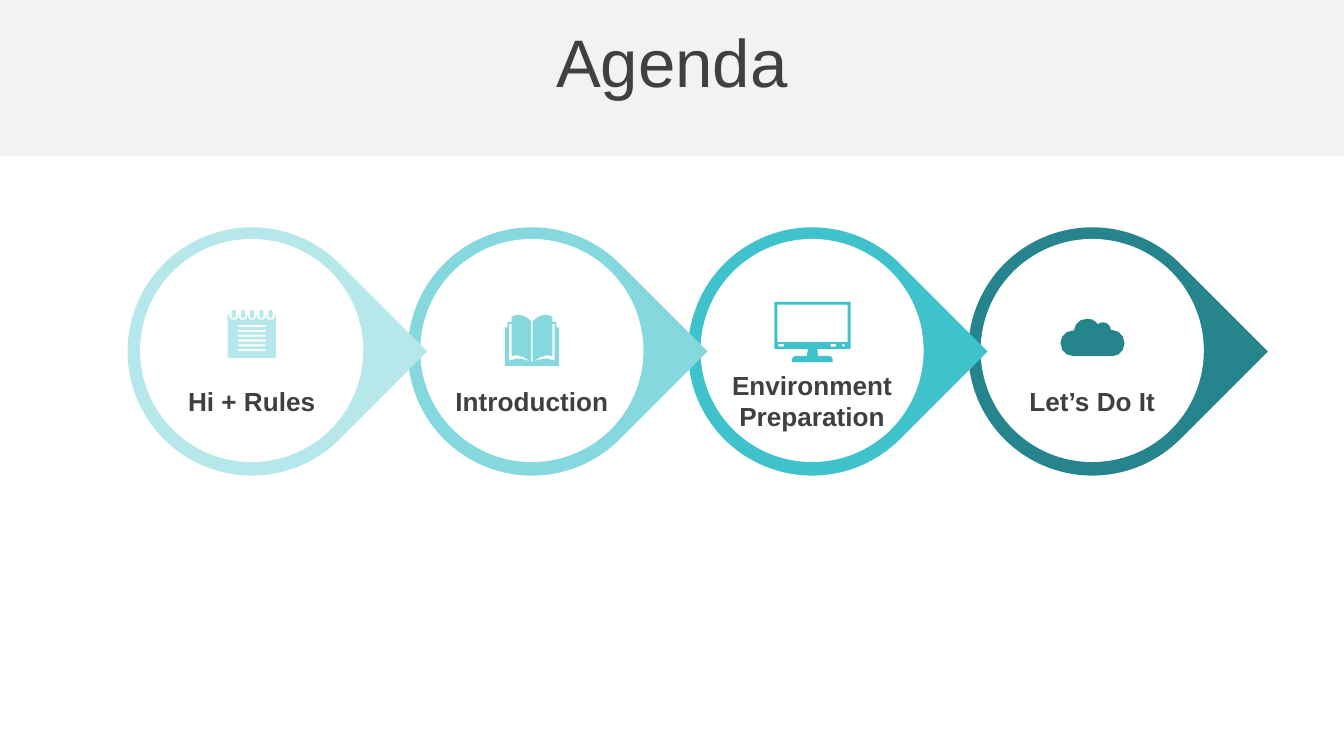
from dataclasses import dataclass
from math import cos, pi, sin

from pptx import Presentation
from pptx import util as u
from pptx.dml.color import RGBColor
from pptx.enum import shapes, text

Point = tuple[float, float]
Contour = list[Point]

COLORS = {
    "band": "F2F2F2",
    "ink": "404040",
    "white": "FFFFFF",
    "pale": "B6E8EB",
    "light": "85D8DE",
    "medium": "3FC2CB",
    "dark": "26858C",
}
TITLE_FORMAT = {"name": "Arial", "size": u.Pt(36), "bold": False}
LABEL_FORMAT = {"name": "Arial", "size": u.Pt(14), "bold": True}
FRAME_FORMAT = {
    "word_wrap": True,
    "auto_size": text.MSO_AUTO_SIZE.NONE,
    "vertical_anchor": text.MSO_ANCHOR.MIDDLE,
}

SLIDE_WIDTH, SLIDE_HEIGHT = 720, 405
BAND_HEIGHT = 83.5
FIRST_CENTER, STEP_PITCH = 134.85, 150.1
DROP_CENTER_Y, DROP_SIZE = 188.3, 133
DISC_CENTER_Y, DISC_SIZE = 187.8, 119
LABEL_WIDTH, LABEL_CENTER_Y = 104, 214.8
CURVE_PARTS = 3


@dataclass
class Step:
    label: str
    color: str
    icon: list[Contour]
    label_height: float = 24.5


def outline(*segments: tuple[float, ...]) -> Contour:
    points: Contour = []
    for segment in segments:
        if len(segment) == 2:
            points.append(segment)
            continue
        start = points[-1]
        first, second, end = segment[:2], segment[2:4], segment[4:]
        for part in range(1, CURVE_PARTS + 1):
            t = part / CURVE_PARTS
            weights = ((1 - t) ** 3, 3 * t * (1 - t) ** 2, 3 * t**2 * (1 - t), t**3)
            corners = (start, first, second, end)
            points.append(tuple(
                sum(w * corner[axis] for w, corner in zip(weights, corners))
                for axis in (0, 1)
            ))
    return points


def rounded(left: float, top: float, width: float, height: float, radius: float) -> Contour:
    right, bottom = left + width - radius, top + height - radius
    corners = [(right, bottom), (left + radius, bottom),
               (left + radius, top + radius), (right, top + radius)]
    return [
        (x + radius * cos(angle), y + radius * sin(angle))
        for quarter, (x, y) in enumerate(corners)
        for angle in (quarter * pi / 2, (quarter + 1) * pi / 2)
    ]


def mirrored(contour: Contour) -> Contour:
    return [(-x, y) for x, y in contour]


def notebook() -> list[Contour]:
    rings = [-9.6 + 4.93 * index for index in range(5)]
    page: Contour = [(-12.9, 168.6)]
    for ring in rings:
        page += outline(
            (ring - 2.3, 168.6), (ring - 2.3, 170),
            (ring - 2.3, 172, ring + 2.3, 172, ring + 2.3, 170),
            (ring + 2.3, 168.6),
        )
    page += [(13, 168.6), (13, 191.8), (-12.9, 191.8)]
    lines = [rounded(-7.5, 174.1 + 2.6 * row, 15.2, 1.1, 0.5) for row in range(6)]
    loops = [rounded(ring - 1.1, 165.9, 2.2, 4.8, 1) for ring in rings]
    return [page, *lines, *loops]


def book() -> list[Contour]:
    cover = outline(
        (0.4, 172.1), (2.5, 169.9, 4.7, 168.7, 7.3, 168.7),
        (8.3, 168.7, 9.7, 169.1, 10.9, 169.7), (10.9, 172.5), (13.1, 172.5),
        (13.1, 175.4), (14.5, 175.4), (14.5, 196), (0, 196), (0, 193.9), (0.4, 193.7),
    )
    gap = outline(
        (0.7, 193.7), (5, 190.6, 8, 189.6, 10.9, 190.8), (10.9, 173.5),
        (12.2, 173.5), (12.2, 193.2), (7.5, 191, 5, 192.4, 0.7, 193.7),
    )
    return [cover, gap, mirrored(cover), mirrored(gap)]


def monitor() -> list[Contour]:
    body = [
        (-20.2, 161.8), (20.6, 161.8), (20.6, 186.9), (2.8, 186.9), (3.2, 190.7),
        (9, 190.7), (10.5, 191.3), (11, 192.4), (11, 194), (-10.7, 194),
        (-10.7, 192.4), (-10.2, 191.3), (-8.7, 190.7), (-2.8, 190.7),
        (-2.2, 186.9), (-20.2, 186.9),
    ]
    screen = [(-18.6, 163.2), (19.1, 163.2), (19.1, 183.3), (-18.6, 183.3)]
    buttons = [rounded(left, 184.3, width, 1.5, 0.6)
               for left, width in ((-18.2, 3.3), (9.7, 3.3), (16.1, 1.5))]
    return [body, screen, *buttons]


def cloud() -> list[Contour]:
    return [outline(
        (-2.8, 170.8), (0, 170.8, 2, 172, 3, 173.8), (3.7, 173.2, 4.7, 172.7, 5.8, 172.7),
        (8.2, 172.7, 10, 174.6, 10.1, 177), (10.9, 176.9),
        (14.3, 176.9, 17.3, 180, 17.3, 183.8), (17.3, 187.8, 14.5, 190.8, 11, 190.8),
        (-10, 190.8), (-14, 190.8, -17, 187.8, -17, 183.8),
        (-17, 180, -14, 177, -9.8, 177), (-9.4, 173.4, -6.4, 170.8, -2.8, 170.8),
    )]


def paint(shape, fill: str, line: str | None = None) -> None:
    shape.shadow.inherit = False
    shape.fill.solid()
    shape.fill.fore_color.rgb = RGBColor.from_string(COLORS[fill])
    if line:
        shape.line.color.rgb = RGBColor.from_string(COLORS[line])
        shape.line.width = u.Pt(0.5)
    else:
        shape.line.fill.background()


def write(shape, words: str, font_format: dict) -> None:
    frame = shape.text_frame
    for name, value in FRAME_FORMAT.items():
        setattr(frame, name, value)
    paragraph = frame.paragraphs[0]
    paragraph.alignment = text.PP_ALIGN.CENTER
    run = paragraph.add_run()
    run.text = words
    for name, value in font_format.items():
        setattr(run.font, name, value)
    run.font.color.rgb = RGBColor.from_string(COLORS["ink"])


def centered(x: float, y: float, width: float, height: float) -> list[u.Length]:
    return [u.Pt(value) for value in (x - width / 2, y - height / 2, width, height)]


def draw_pointer(slide, step: Step, center: float) -> None:
    drop = slide.shapes.add_shape(
        shapes.MSO_SHAPE.TEAR, *centered(center, DROP_CENTER_Y, DROP_SIZE, DROP_SIZE))
    drop.rotation = 45
    paint(drop, step.color)
    disc = slide.shapes.add_shape(
        shapes.MSO_SHAPE.OVAL, *centered(center, DISC_CENTER_Y, DISC_SIZE, DISC_SIZE))
    paint(disc, "white", "white")


def draw_label(slide, step: Step, center: float) -> None:
    label = slide.shapes.add_textbox(
        *centered(center, LABEL_CENTER_Y, LABEL_WIDTH, step.label_height))
    write(label, step.label, LABEL_FORMAT)


def draw_icon(slide, step: Step, center: float) -> None:
    contours = [[(u.Pt(center + x), u.Pt(y)) for x, y in contour] for contour in step.icon]
    builder = slide.shapes.build_freeform(*contours[0][0])
    for index, contour in enumerate(contours):
        if index:
            builder.move_to(*contour[0])
        builder.add_line_segments(contour[1:], close=True)
    paint(builder.convert_to_shape(), step.color)


def main() -> None:
    presentation = Presentation()
    presentation.slide_width = u.Pt(SLIDE_WIDTH)
    presentation.slide_height = u.Pt(SLIDE_HEIGHT)
    slide = presentation.slides.add_slide(presentation.slide_layouts[5])

    band = slide.shapes.add_shape(
        shapes.MSO_SHAPE.RECTANGLE, 0, 0, u.Pt(SLIDE_WIDTH), u.Pt(BAND_HEIGHT))
    paint(band, "band")
    title = slide.shapes.title
    title.element.addprevious(band.element)
    title.left, title.top, title.width, title.height = centered(360, 32.4, SLIDE_WIDTH, 45.4)
    write(title, "Agenda", TITLE_FORMAT)

    steps = [
        Step("Hi + Rules", "pale", notebook()),
        Step("Introduction", "light", book()),
        Step("Environment Preparation", "medium", monitor(), 41),
        Step("Let’s Do It", "dark", cloud()),
    ]
    placed = [(step, FIRST_CENTER + STEP_PITCH * index) for index, step in enumerate(steps)]
    for step, center in reversed(placed):
        draw_pointer(slide, step, center)
    for draw in (draw_label, draw_icon):
        for step, center in placed:
            draw(slide, step, center)
    presentation.save("out.pptx")


if __name__ == "__main__":
    main()
